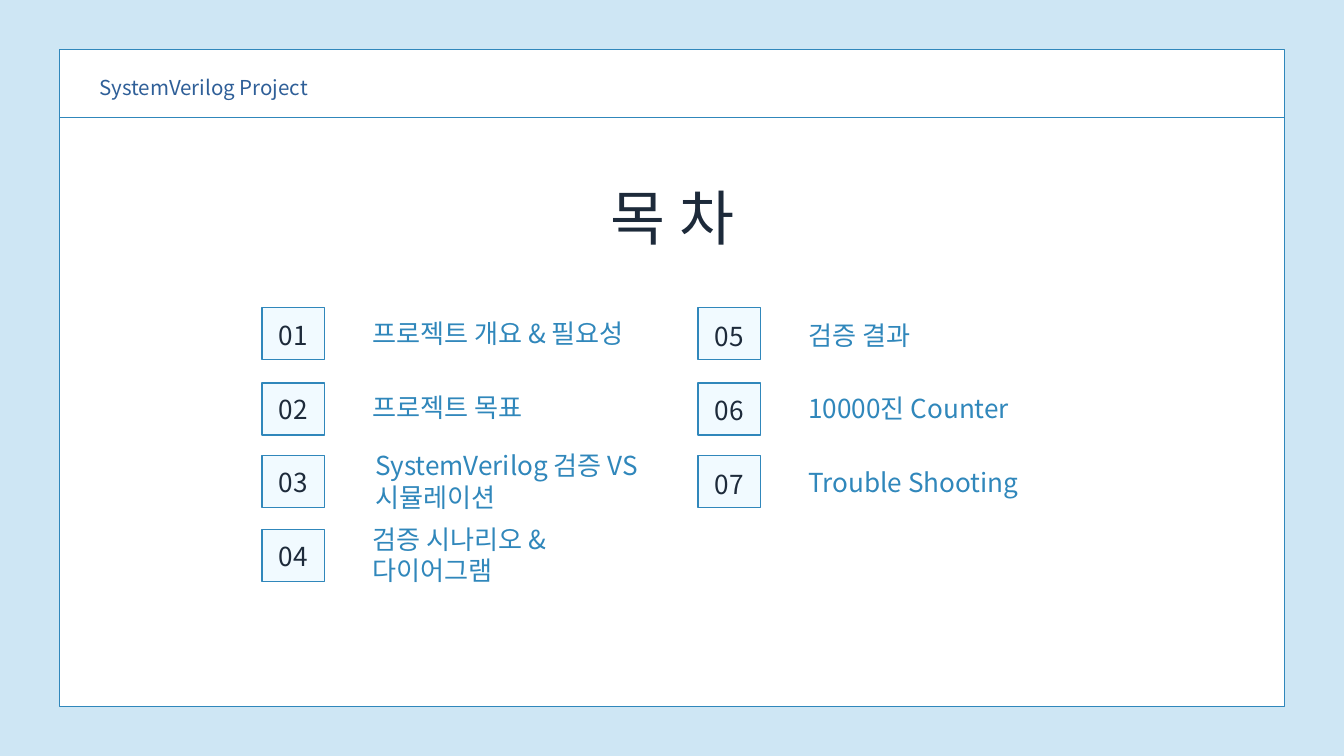
from dataclasses import dataclass

from lxml import etree
from pptx import Presentation
from pptx.dml.color import RGBColor
from pptx.enum.shapes import MSO_CONNECTOR, MSO_SHAPE
from pptx.enum.text import PP_ALIGN
from pptx.oxml.ns import qn
from pptx.util import Cm, Pt

RECT = MSO_SHAPE.RECTANGLE
STRAIGHT = MSO_CONNECTOR.STRAIGHT
LEFT, CENTER = PP_ALIGN.LEFT, PP_ALIGN.CENTER

FONT = "Noto Sans CJK KR"
COLORS = {
    "background": "CEE6F4",
    "panel": "FFFFFF",
    "badge": "F1FAFF",
    "accent": "3087BB",
    "dark": "1D2A3A",
    "header": "2F5F98",
}

# Contents grid, in centimetres
COLUMN_LEFTS = (9.91, 26.39)
BADGE_TOPS = (11.63, 14.48, 17.22, 20.02)
BADGE_W, BADGE_H = 2.36, 1.96
ROWS_PER_COLUMN = len(BADGE_TOPS)
TEXT_TOP, TEXT_PITCH = 12.07, 2.79
LABEL_OFFSET = 4.17
LINE_H = 1.18


@dataclass
class Entry:
    label: str
    lines: int = 1
    indent: float = 0


ENTRIES = [
    Entry("프로젝트 개요 & 필요성"),
    Entry("프로젝트 목표"),
    Entry("SystemVerilog 검증 VS 시뮬레이션", lines=2, indent=0.1),
    Entry("검증 시나리오 & 다이어그램", lines=2),
    Entry("검증 결과"),
    Entry("10000진 Counter"),
    Entry("Trouble Shooting"),
]


def rgb(name: str) -> RGBColor:
    return RGBColor.from_string(COLORS[name])


def add_box(s, x: float, y: float, w: float, h: float, fill: str) -> None:
    sp = s.shapes.add_shape(RECT, Cm(x), Cm(y), Cm(w), Cm(h))
    sp.shadow.inherit = False
    sp.fill.solid()
    sp.fill.fore_color.rgb = rgb(fill)
    sp.line.color.rgb = rgb("accent")
    sp.line.width = Pt(1.5)


def add_rule(s, x1: float, x2: float, y: float) -> None:
    line = s.shapes.add_connector(STRAIGHT, Cm(x1), Cm(y), Cm(x2), Cm(y))
    line.line.color.rgb = rgb("accent")
    line.line.width = Pt(1.5)
    etree.SubElement(line._element.spPr, qn("a:effectLst"))


def add_text(s, text: str, x: float, y: float, w: float, h: float, *,
             size: float = 28, spacing: float = 33.6, color: str = "accent",
             align: PP_ALIGN = LEFT) -> None:
    tf = s.shapes.add_textbox(Cm(x), Cm(y), Cm(w), Cm(h)).text_frame
    tf.word_wrap = True
    tf.margin_left = tf.margin_right = tf.margin_top = tf.margin_bottom = 0
    p = tf.paragraphs[0]
    p.alignment = align
    p.line_spacing = Pt(spacing)
    r = p.add_run()
    r.text = text
    r.font.size = Pt(size)
    r.font.name = FONT
    r.font.color.rgb = rgb(color)
    # Korean glyphs take the East Asian font
    etree.SubElement(r.font._element, qn("a:ea"), typeface=FONT)


def add_entry(s, index: int, entry: Entry) -> None:
    column, row = divmod(index, ROWS_PER_COLUMN)
    x = COLUMN_LEFTS[column]
    y = TEXT_TOP + row * TEXT_PITCH + 0.05 * column
    add_box(s, x, BADGE_TOPS[row], BADGE_W, BADGE_H, "badge")
    add_text(s, f"{index + 1:02d}", x - 0.46, y, 3.28, 1.14,
             color="dark", align=CENTER)
    # Two-line labels stay centred on their row
    label_y = y - 0.06 - (entry.lines - 1) * LINE_H / 2
    add_text(s, entry.label, x + LABEL_OFFSET + entry.indent, label_y,
             10.8 - entry.indent, LINE_H * entry.lines)


def main() -> None:
    prs = Presentation()
    prs.slide_width, prs.slide_height = Cm(50.8), Cm(28.58)
    s = prs.slides.add_slide(prs.slide_layouts[6])
    s.background.fill.solid()
    s.background.fill.fore_color.rgb = rgb("background")

    # Panel and header
    add_box(s, 2.25, 1.88, 46.3, 24.82, "panel")
    add_rule(s, 2.25, 48.55, 4.45)
    add_text(s, "SystemVerilog Project", 3.76, 2.69, 12.3, 1.07,
             size=22, spacing=30.8, color="header")

    # Title
    add_text(s, "목 차", 17.63, 6.38, 15.57, 3.02,
             size=64, spacing=89.6, color="dark", align=CENTER)

    # Contents
    for index, entry in enumerate(ENTRIES):
        add_entry(s, index, entry)

    prs.save("out.pptx")


if __name__ == "__main__":
    main()
